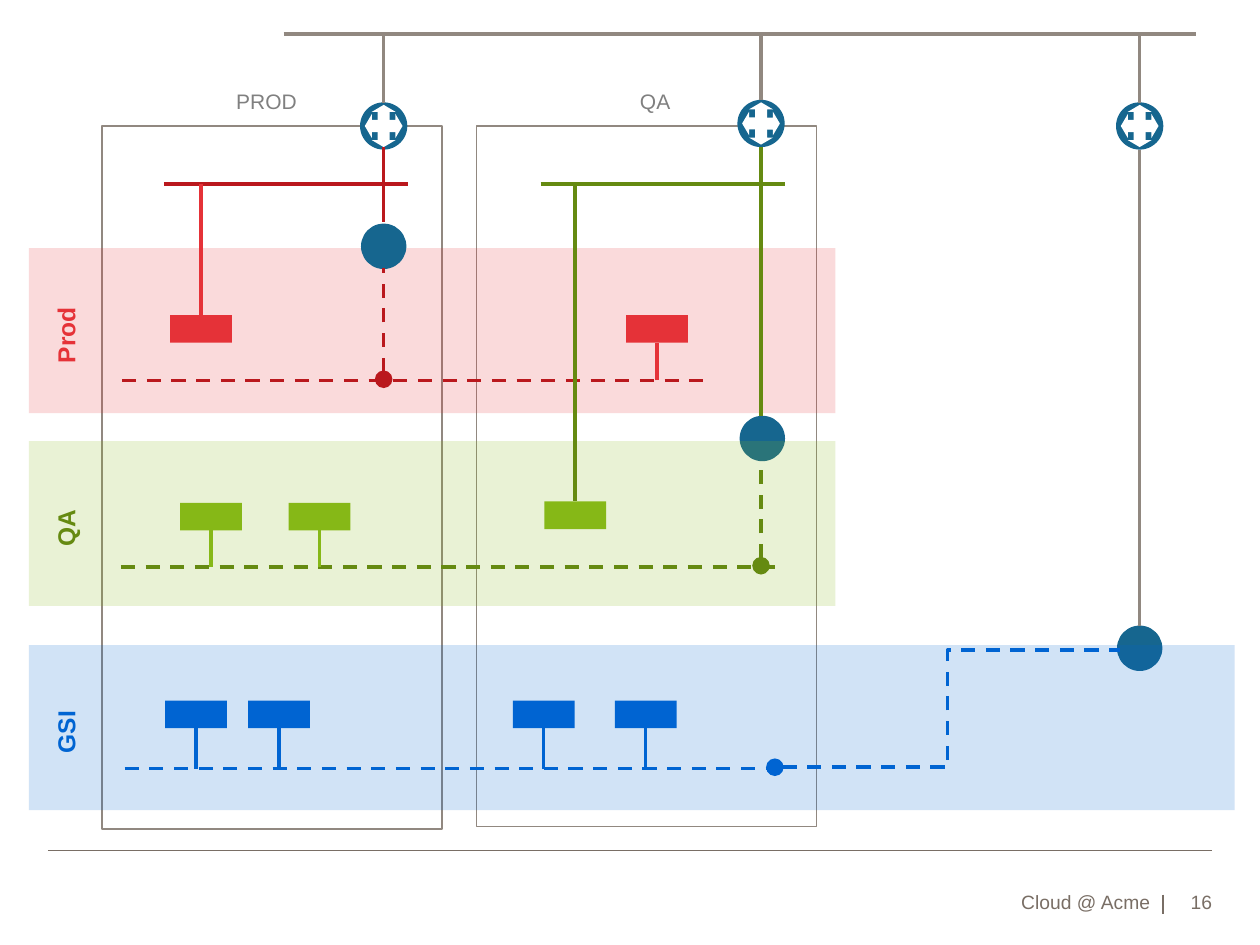
from dataclasses import dataclass

from lxml.etree import SubElement
from pptx import Presentation
from pptx.dml.color import RGBColor
from pptx.enum.dml import MSO_LINE
from pptx.enum.shapes import MSO_CONNECTOR as Link, MSO_SHAPE as Shape
from pptx.enum.text import MSO_ANCHOR as Anchor, PP_ALIGN as Align
from pptx.oxml.ns import qn
from pptx.util import Inches, Pt

COLUMNS, ROWS = 100, 75
CELL = Inches(0.1)
FONT = "Arial"
WHITE = RGBColor(0xFF, 0xFF, 0xFF)
TAUPE = RGBColor(0x79, 0x6E, 0x65)
STONE = RGBColor(0x91, 0x88, 0x80)
GREY = RGBColor(0x80, 0x80, 0x80)
TEAL = RGBColor(0x16, 0x66, 0x8F)
RED = RGBColor(0xE5, 0x32, 0x38)
DARK_RED = RGBColor(0xBA, 0x18, 0x1D)
GREEN = RGBColor(0x86, 0xB8, 0x17)
DARK_GREEN = RGBColor(0x65, 0x8A, 0x11)
BLUE = RGBColor(0x00, 0x64, 0xD2)

ROUTER_SIZE, GATEWAY_SIZE = 3.65, 3.5
HOST_WIDTH, HOST_HEIGHT = 4.9, 2.2
BUS_ROW = 14.6


@dataclass
class Box:
    """An area in grid columns and rows."""
    left: float
    top: float
    width: float
    height: float

    def lengths(self):
        return [cells(v) for v in (self.left, self.top, self.width, self.height)]


def cells(count):
    return round(count * CELL)


def centred(x, y, width, height):
    return Box(x - width / 2, y - height / 2, width, height)


def add_shape(slide, kind, box, fill=None, outline=None, opacity=None, rotation=0):
    shape = slide.shapes.add_shape(kind, *box.lengths())
    shape.shadow.inherit = False
    shape.rotation = rotation
    if fill is None:
        shape.fill.background()
    else:
        shape.fill.solid()
        shape.fill.fore_color.rgb = fill
    if opacity:
        colour = shape.fill._xPr.find(".//" + qn("a:srgbClr"))
        SubElement(colour, qn("a:alpha"), val=str(opacity * 1000))
    if outline is None:
        shape.line.fill.background()
    else:
        shape.line.color.rgb = outline
        shape.line.width = Pt(0.75)
    return shape


def add_line(slide, start, end, colour, width=2, dashed=False, dot=False,
             kind=Link.STRAIGHT):
    """Draw a connector; dot puts a round head at its start."""
    connector = slide.shapes.add_connector(
        kind, *(cells(v) for v in (*start, *end)))
    connector.line.color.rgb = colour
    connector.line.width = Pt(width)
    if dashed:
        connector.line.dash_style = MSO_LINE.DASH
    if dot:
        SubElement(connector.line._get_or_add_ln(), qn("a:headEnd"),
                   type="oval", w="lg", len="lg")
    SubElement(connector._element.spPr, qn("a:effectLst"))
    return connector


def add_text(slide, box, text, size, colour, bold=False, align=Align.CENTER,
             anchor=Anchor.MIDDLE, rotation=0):
    shape = slide.shapes.add_textbox(*box.lengths())
    shape.rotation = rotation
    frame = shape.text_frame
    frame.word_wrap = True
    frame.vertical_anchor = anchor
    frame.margin_left = frame.margin_right = 0
    frame.margin_top = frame.margin_bottom = 0
    paragraph = frame.paragraphs[0]
    paragraph.alignment = align
    run = paragraph.add_run()
    run.text = text
    run.font.name = FONT
    run.font.size = Pt(size)
    run.font.bold = bold
    run.font.color.rgb = colour


def add_router(slide, x, y):
    """A disc with four arrows pointing outwards from its centre."""
    add_shape(slide, Shape.OVAL, centred(x, y, ROUTER_SIZE, ROUTER_SIZE), TEAL, TEAL)
    arrows = ((0.7, 0, 270), (-0.7, 0, 90), (0, -0.88, 180), (0, 0.88, 0))
    for right, down, rotation in arrows:
        arrow = add_shape(slide, Shape.DOWN_ARROW,
                          centred(x + right, y + down, 1.9, 1.6), WHITE,
                          rotation=rotation)
        arrow.adjustments[0] = 0.5
        arrow.adjustments[1] = 0.349


def add_gateway(slide, x, y):
    add_shape(slide, Shape.OVAL, centred(x, y, GATEWAY_SIZE, GATEWAY_SIZE), TEAL, TEAL)


def add_host(slide, left, top, wire_row, colour, wire_colour):
    """A host joined to a wire above or below it."""
    host = add_shape(slide, Shape.RECTANGLE,
                     Box(left, top, HOST_WIDTH, HOST_HEIGHT), colour)
    middle = left + HOST_WIDTH / 2
    above = wire_row < top
    edge = top if above else top + HOST_HEIGHT
    wire = add_line(slide, (middle, wire_row), (middle, edge), wire_colour)
    wire.end_connect(host, 0 if above else 2)


def add_zone(slide, box, caption, caption_x, bus_left, colour):
    """A zone's frame, caption and bus."""
    add_shape(slide, Shape.RECTANGLE, box, outline=STONE)
    add_text(slide, centred(box.left + caption_x, box.top - 2, 8, 3),
             caption, 12, GREY)
    start = box.left + bus_left
    add_line(slide, (start, BUS_ROW), (start + 19.4, BUS_ROW), colour)


def add_lane(slide, box, label, colour, dark, wire, hosts, host_top):
    """A tinted lane whose wire is (start, end, row), all from the lane's corner."""
    start, end, row = wire
    wire_row = box.top + row
    add_shape(slide, Shape.RECTANGLE, box, colour, opacity=18)
    add_line(slide, (box.left + start, wire_row), (box.left + end, wire_row),
             dark, dashed=True)
    label_colour = colour if label == "Prod" else dark
    add_text(slide, centred(box.left + 2.9, box.top + 6.9, 7, 3.4),
             label, 14, label_colour, bold=True, rotation=270)
    for left in hosts:
        add_host(slide, box.left + left, box.top + host_top, wire_row, colour, colour)


def add_footer(slide, box, text, number):
    right, bottom = box.left + box.width, box.top + box.height
    divider = right - 3.9
    add_line(slide, (box.left, box.top), (right, box.top), TAUPE, width=1)
    add_line(slide, (divider, bottom - 1.5), (divider, bottom), TAUPE, width=1)
    for left, width, words in ((right - 37.5, 36.6 - 4, text),
                               (divider, 3.9, number)):
        add_text(slide, Box(left, bottom - 2.7, width, 2.7), words, 11, TAUPE,
                 align=Align.RIGHT, anchor=Anchor.BOTTOM)


def add_network(slide):
    prod_x, qa_x, gsi_x = 30.45, 60.4, 90.45
    trunk_row = 2.7

    add_zone(slide, Box(8.1, 10, 27, 55.8), "PROD", 13.05, 4.9, DARK_RED)
    add_zone(slide, Box(37.8, 10, 27, 55.6), "QA", 14.2, 5.1, DARK_GREEN)
    add_line(slide, (22.5, trunk_row), (94.9, trunk_row), STONE)
    for x, y in ((prod_x, 10), (qa_x, 9.8), (gsi_x, 10)):
        add_router(slide, x, y)
        add_line(slide, (x, y - ROUTER_SIZE / 2), (x, trunk_row), STONE)
    for x, colour in ((prod_x, DARK_RED), (qa_x, DARK_GREEN)):
        add_line(slide, (x, BUS_ROW), (x, 11.7), colour)

    add_lane(slide, Box(2.3, 19.7, 64, 13.1), "Prod", RED, DARK_RED,
             wire=(7.4, 54.3, 10.5), hosts=(47.4,), host_top=5.3)
    add_gateway(slide, prod_x, 19.55)
    add_line(slide, (prod_x, 17.6), (prod_x, BUS_ROW), DARK_RED)
    add_line(slide, (prod_x, 30.1), (prod_x, 21.3), DARK_RED, dashed=True, dot=True)

    add_gateway(slide, qa_x + 0.1, 34.8)
    add_line(slide, (qa_x, 33), (qa_x, 13.9), DARK_GREEN)
    add_lane(slide, Box(2.3, 35, 64, 13.1), "QA", GREEN, DARK_GREEN,
             wire=(7.3, 59.2, 10), hosts=(12, 20.6), host_top=4.9)
    add_line(slide, (qa_x, 44.9), (qa_x, 36.5), DARK_GREEN, dashed=True, dot=True)

    add_gateway(slide, gsi_x, 51.45)
    add_line(slide, (gsi_x, 49.7), (gsi_x, 11.9), STONE)
    add_lane(slide, Box(2.3, 51.2, 95.7, 13.1), "GSI", BLUE, BLUE,
             wire=(7.6, 59.6, 9.8), hosts=(10.8, 17.4, 38.4, 46.5), host_top=4.4)
    add_line(slide, (61.5, 60.9), (88.9, 51.6), BLUE, dashed=True, dot=True,
             kind=Link.ELBOW)

    add_host(slide, 43.2, 39.8, BUS_ROW, GREEN, DARK_GREEN)
    add_host(slide, 13.5, 25, BUS_ROW, RED, RED)


def main():
    presentation = Presentation()
    presentation.slide_width = COLUMNS * CELL
    presentation.slide_height = ROWS * CELL
    slide = presentation.slides.add_slide(presentation.slide_layouts[6])
    add_footer(slide, Box(3.8, 67.5, 92.4, 5), "Cloud @ Acme", "16")
    add_network(slide)
    presentation.save("out.pptx")


if __name__ == "__main__":
    main()
